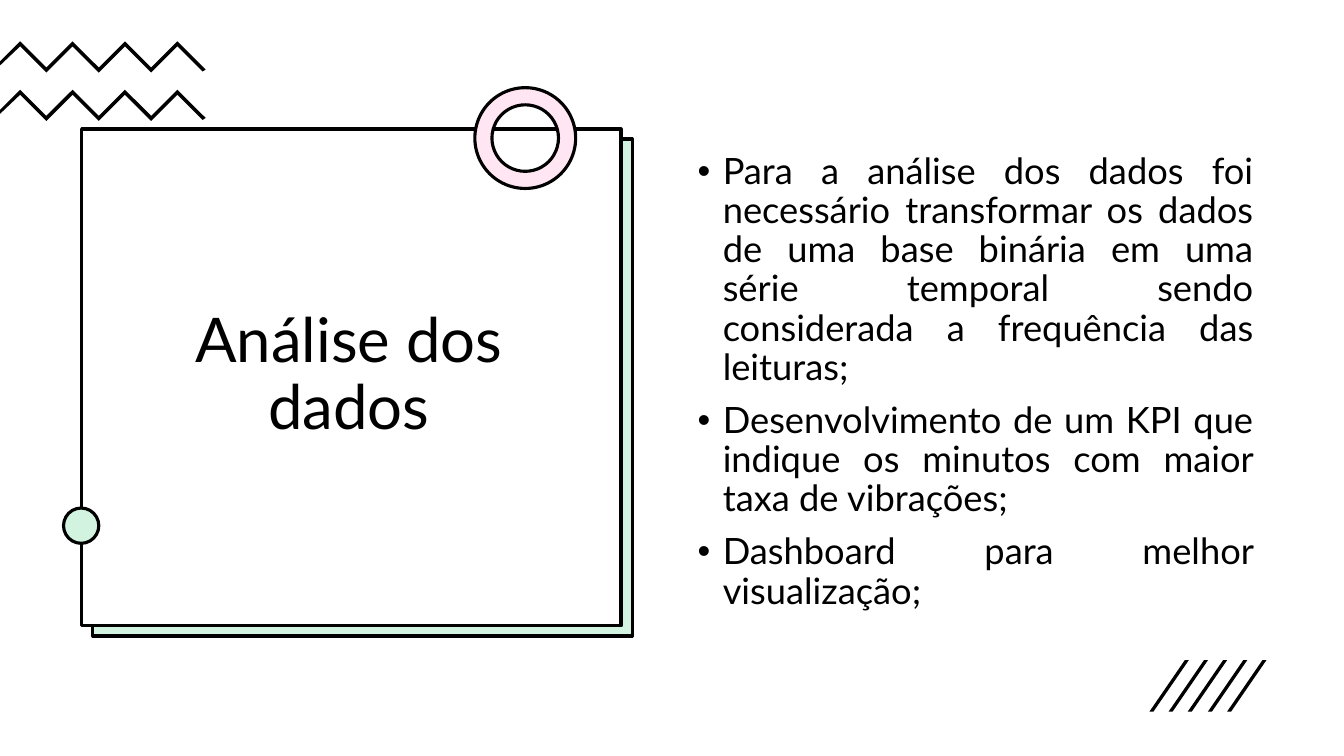
import pptx
import pptx.util
import pptx.dml.color
import pptx.enum.shapes
import pptx.enum.text
import pptx.oxml.ns
from lxml import etree

PX = 9144  # EMU per px, 100 px to the inch
BLACK = pptx.dml.color.RGBColor(0x00, 0x00, 0x00)
WHITE = pptx.dml.color.RGBColor(0xFF, 0xFF, 0xFF)
MINT = pptx.dml.color.RGBColor(0xD3, 0xF3, 0xE1)
PINK = pptx.dml.color.RGBColor(0xFF, 0xE6, 0xF2)
FONT = "Lato"
SHAPE = pptx.enum.shapes.MSO_SHAPE
ALIGN = pptx.enum.text.PP_ALIGN
ANCHOR = pptx.enum.text.MSO_ANCHOR

TITLE = "Análise dos dados"
TOPICS = [
    "Para a análise dos dados foi necessário transformar os dados de uma base "
    "binária em uma série temporal sendo considerada a frequência das leituras;",
    "Desenvolvimento de um KPI que indique os minutos com maior taxa de vibrações;",
    "Dashboard para melhor visualização;",
]


def add_black_outline(group, points):
    """Draw a closed polygon filled with black inside the group."""
    builder = group.shapes.build_freeform(*points[0], scale=PX)
    builder.add_line_segments(points[1:], close=True)
    polygon = builder.convert_to_shape()
    polygon.shadow.inherit = False
    polygon.fill.solid()
    polygon.fill.fore_color.rgb = BLACK
    polygon.line.fill.background()


def add_text(box, anchor, paragraphs, size, align):
    frame = slide.shapes.add_textbox(*[n * PX for n in box]).text_frame
    frame.word_wrap = True
    frame.vertical_anchor = anchor
    for i, words in enumerate(paragraphs):
        paragraph = frame.add_paragraph() if i else frame.paragraphs[0]
        paragraph.alignment = align
        paragraph.line_spacing = 0.9
        run = paragraph.add_run()
        run.text = words
        run.font.name = FONT
        run.font.size = pptx.util.Pt(size)
        run.font.color.rgb = BLACK
    return frame


presentation = pptx.Presentation()
presentation.slide_width = pptx.util.Emu(1333 * PX)
presentation.slide_height = pptx.util.Emu(750 * PX)
slide = presentation.slides.add_slide(presentation.slide_layouts[6])
slide.background.fill.solid()
slide.background.fill.fore_color.rgb = WHITE

# Zigzag bands, cut off by the left edge
zigzags = slide.shapes.add_group_shape()
for top in (41, 89):
    ridge = [(20 + 26 * i, top + 26 * (i % 2)) for i in range(7)]
    underside = [(x, y + 5) for x, y in reversed(ridge)]
    tip = [(204, top + 28), (201, top + 30)]
    cut = [(0, top + 24), (0, top + 20)]
    add_black_outline(zigzags, ridge + tip + underside + cut)

# Title card with its mint backing, ring and dot
for kind, box, colour in [
    (SHAPE.RECTANGLE, (92, 138, 535, 493), MINT),
    (SHAPE.RECTANGLE, (81, 128, 535, 493), WHITE),
    (SHAPE.DONUT, (471, 87, 100, 100), PINK),
    (SHAPE.OVAL, (63, 504, 35, 35), MINT),
]:
    ornament = slide.shapes.add_shape(kind, *[n * PX for n in box])
    ornament.shadow.inherit = False
    ornament.fill.solid()
    ornament.fill.fore_color.rgb = colour
    ornament.line.color.rgb = BLACK
    ornament.line.width = pptx.util.Pt(2.25)
    if kind == SHAPE.DONUT:
        ornament.adjustments[0] = 0.17

add_text((121, 138, 450, 470), ANCHOR.MIDDLE, [TITLE], 44, ALIGN.CENTER)

topics = add_text((682, 147, 571, 476), ANCHOR.TOP, TOPICS, 25.9, ALIGN.JUSTIFY)
for i, topic in enumerate(topics.paragraphs):
    topic.space_before = pptx.util.Pt(10 if i else 0)
    properties = topic._p.get_or_add_pPr()
    properties.set("marL", str(25 * PX))
    properties.set("indent", str(-25 * PX))
    bullet_font = etree.SubElement(properties, pptx.oxml.ns.qn("a:buFont"))
    bullet_font.set("typeface", "Arial")
    bullet = etree.SubElement(properties, pptx.oxml.ns.qn("a:buChar"))
    bullet.set("char", "•")

# Slanted strokes in the lower right corner
strokes = slide.shapes.add_group_shape()
for i in range(5):
    left = round(1140 + 19.25 * i)
    add_black_outline(
        strokes, [(left + 4, 706), (left, 706), (left + 35, 655), (left + 39, 655)]
    )

presentation.save("out.pptx")
